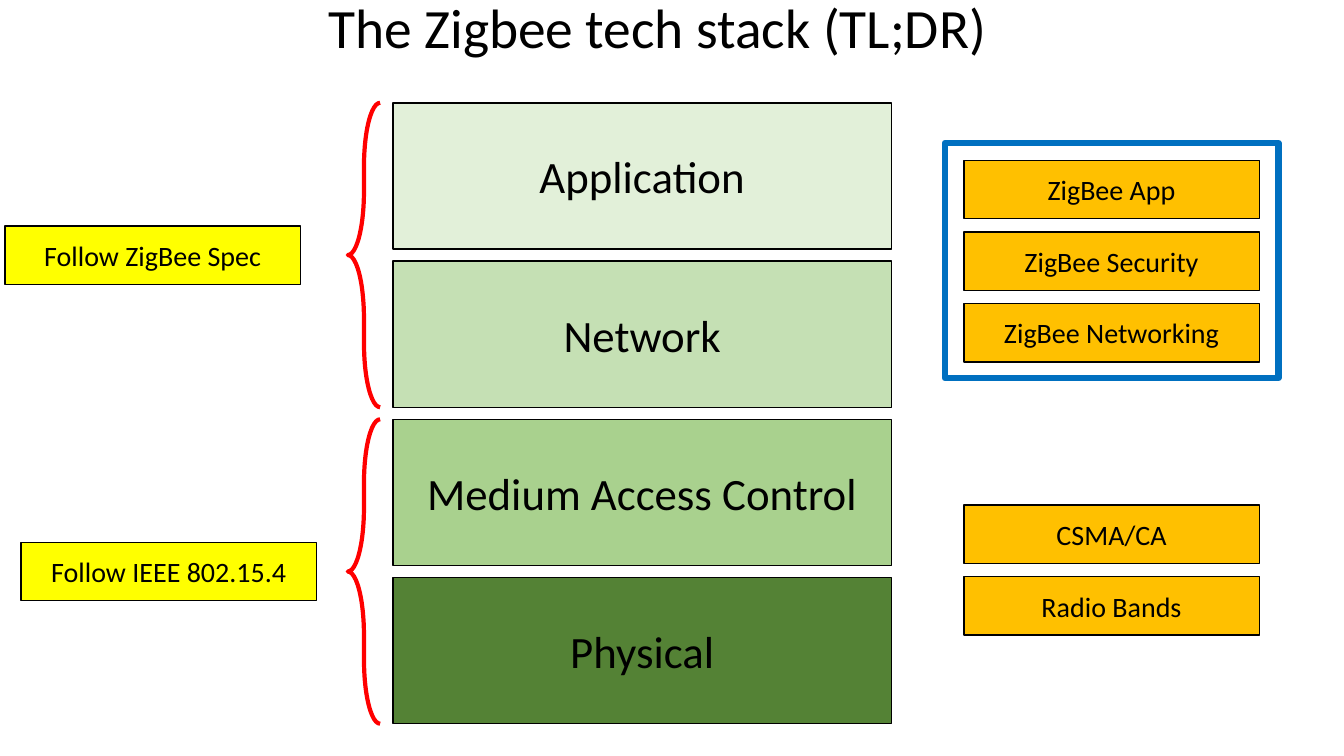
from pptx import Presentation
from pptx.dml.color import RGBColor
from pptx.enum.shapes import MSO_SHAPE as Shape
from pptx.enum.text import MSO_ANCHOR as Anchor, MSO_AUTO_SIZE as AutoSize, PP_ALIGN as Align
from pptx.util import Inches, Pt

BLACK = RGBColor(0x00, 0x00, 0x00)
RED = RGBColor(0xFF, 0x00, 0x00)
BLUE = RGBColor(0x00, 0x70, 0xC0)
YELLOW = RGBColor(0xFF, 0xFF, 0x00)
ORANGE = RGBColor(0xFF, 0xC0, 0x00)
LAYERS = [
    ("Application", RGBColor(0xE2, 0xF0, 0xD9)),
    ("Network", RGBColor(0xC5, 0xE0, 0xB4)),
    ("Medium Access Control", RGBColor(0xA9, 0xD1, 0x8E)),
    ("Physical", RGBColor(0x54, 0x82, 0x35)),
]
LAYER_TOP, LAYER_PITCH = 1.02, 1.57
TAG_PITCH = 0.71


class StackSlide:
    font = "Calibri"

    def __init__(self, deck):
        self.slide = deck.slides.add_slide(deck.slide_layouts[5])

    def add_label(self, frame, text, size):
        """Put one centred run of text in a frame."""
        frame.word_wrap = True
        frame.vertical_anchor = Anchor.MIDDLE
        paragraph = frame.paragraphs[0]
        paragraph.alignment = Align.CENTER
        run = paragraph.add_run()
        run.text = text
        run.font.name = self.font
        run.font.size = Pt(size)
        run.font.color.rgb = BLACK
        return paragraph

    def title(self, text, left, top, width, height):
        heading = self.slide.shapes.title
        heading.left, heading.top = Inches(left), Inches(top)
        heading.width, heading.height = Inches(width), Inches(height)
        heading.text_frame.auto_size = AutoSize.NONE
        self.add_label(heading.text_frame, text, 39.6).line_spacing = 0.9

    def outline(self, kind, left, top, width, height, color, weight):
        """Add an unfilled preset shape."""
        shape = self.slide.shapes.add_shape(
            kind, Inches(left), Inches(top), Inches(width), Inches(height))
        shape.shadow.inherit = False
        shape.fill.background()
        shape.line.color.rgb = color
        shape.line.width = Pt(weight)
        return shape

    def box(self, text, left, top, width, height, fill, size):
        box = self.outline(Shape.RECTANGLE, left, top, width, height, BLACK, 1)
        box.fill.solid()
        box.fill.fore_color.rgb = fill
        self.add_label(box.text_frame, text, size)

    def layer(self, text, top, fill):
        self.box(text, 3.9, top, 4.94, 1.45, fill, 32)

    def tag(self, text, left, top, fill):
        self.box(text, left, top, 2.93, 0.58, fill, 20)

    def brace(self, top):
        brace = self.outline(Shape.LEFT_BRACE, 3.45, top, 0.32, 3.02, RED, 3)
        brace.adjustments[0] = 1.98
        brace.adjustments[1] = 0.5


def main():
    deck = Presentation()
    deck.slide_width, deck.slide_height = Inches(13.33), Inches(7.5)
    stack = StackSlide(deck)
    stack.title("The Zigbee tech stack (TL;DR)", 0.77, 0, 11.5, 0.61)

    for row, (name, green) in enumerate(LAYERS):
        stack.layer(name, LAYER_TOP + row * LAYER_PITCH, green)

    standards = [("Follow ZigBee Spec", 0.05), ("Follow IEEE 802.15.4", 0.21)]
    for pair, (standard, left) in enumerate(standards):
        top = LAYER_TOP + pair * 2 * LAYER_PITCH
        stack.brace(top)
        stack.tag(standard, left, top + 1.22, YELLOW)

    stack.outline(Shape.RECTANGLE, 9.37, 1.42, 3.31, 2.33, BLUE, 4.5)
    feature_groups = [
        (1.59, ["ZigBee App", "ZigBee Security", "ZigBee Networking"]),
        (5.01, ["CSMA/CA", "Radio Bands"]),
    ]
    for top, features in feature_groups:
        for row, feature in enumerate(features):
            stack.tag(feature, 9.56, top + row * TAG_PITCH, ORANGE)

    deck.save("out.pptx")


if __name__ == "__main__":
    main()
